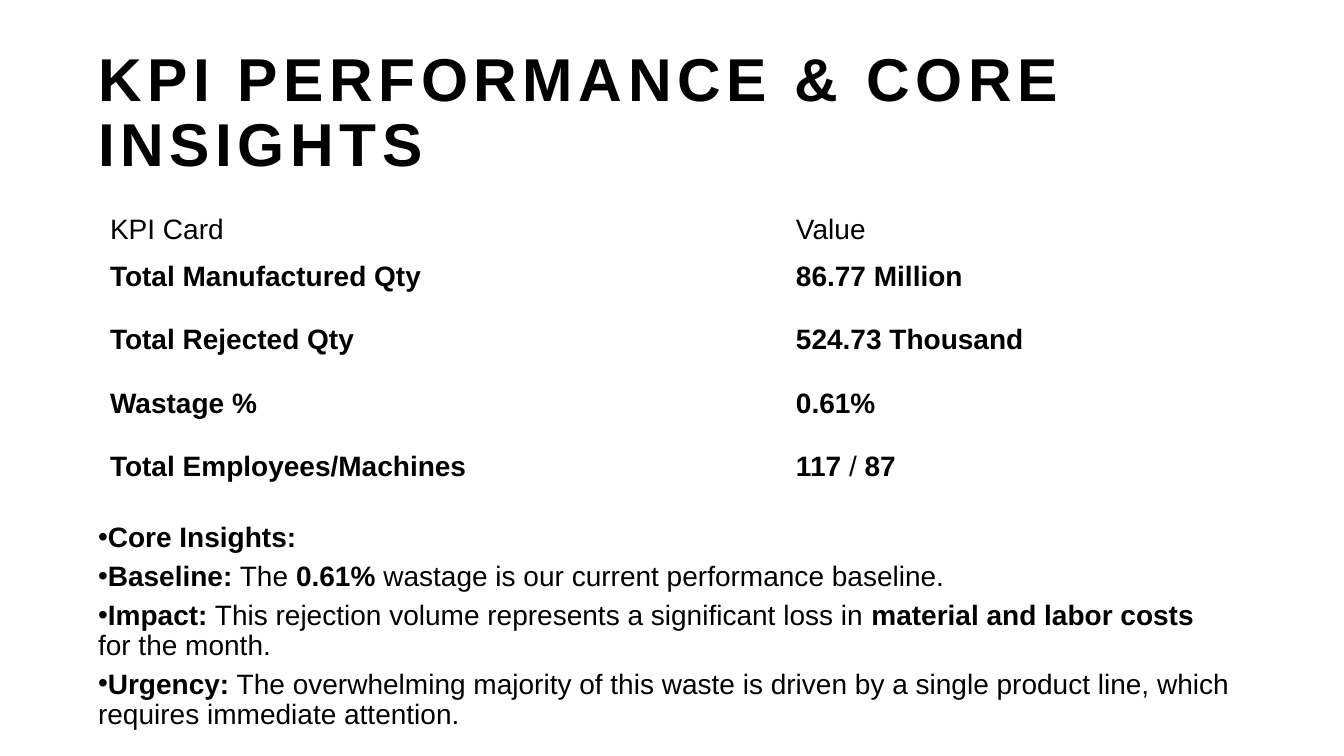
from dataclasses import dataclass

from lxml.etree import SubElement
from pptx import Presentation
from pptx.dml.color import RGBColor
from pptx.enum.text import MSO_ANCHOR, MSO_AUTO_SIZE, PP_ALIGN
from pptx.oxml.ns import qn
from pptx.util import Emu, Pt


@dataclass(frozen=True)
class Theme:
    font: str = "Arial"
    ink: RGBColor = RGBColor(0, 0, 0)
    title_size: float = 43.2
    body_size: float = 20
    title_tracking: int = 400
    line_spacing: float = 0.9
    space_after: int = 6


THEME = Theme()
BREAK = "\n"

TITLE = "KPI PERFORMANCE & CORE INSIGHTS"

KPI_ROWS = [
    ([("KPI Card", False)], [("Value", False)]),
    ([("Total Manufactured Qty", True)], [("86.77 Million", True)]),
    ([("Total Rejected Qty", True)], [("524.73 Thousand", True)]),
    ([("Wastage %", True)], [("0.61%", True)]),
    ([("Total Employees/Machines", True)],
     [("117", True), (" / ", False), ("87", True)]),
]

INSIGHTS = [
    [("Core Insights:", True)],
    [("Baseline:", True), (" The ", False), ("0.61%", True),
     (" wastage is our current performance baseline.", False)],
    [("Impact:", True),
     (" This rejection volume represents a significant loss in ", False),
     ("material and labor costs", True), (BREAK, False),
     ("for the month.", False)],
    [("Urgency:", True),
     (" The overwhelming majority of this waste is driven by a single product"
      " line, which requires immediate attention.", False)],
]

SLIDE_SIZE = (1344, 756)
TITLE_BOX = (88, 42, 1110, 143)
TABLE_ORIGIN = (99, 206)
COLUMN_WIDTHS = (686, 401)
ROW_HEIGHTS = (47, 47, 80, 47, 80)
CELL_MARGINS = (11, 6)
INSIGHTS_BOX = (88, 490, 1165, 311)
INSIGHTS_BOTTOM_INSET = 42
BULLET_INDENT = -25


def px(length):
    return Emu(round(length * 914400 / 100.8))


def place(shape, box):
    shape.left, shape.top, shape.width, shape.height = map(px, box)


def add_runs(paragraph, runs, size):
    for text, bold in runs:
        if text == BREAK:
            paragraph.add_line_break()
            line_break = paragraph._p.findall(qn("a:br"))[-1]
            SubElement(line_break, qn("a:rPr"), sz=str(round(size * 100)))
            continue
        run = paragraph.add_run()
        run.text = text
        run.font.name = THEME.font
        run.font.size = Pt(size)
        run.font.bold = bold
        run.font.color.rgb = THEME.ink


def space_paragraph(paragraph, after):
    paragraph.alignment = PP_ALIGN.LEFT
    paragraph.line_spacing = THEME.line_spacing
    paragraph.space_before = Pt(0)
    paragraph.space_after = Pt(after)


def prepare_frame(frame, anchor):
    frame.word_wrap = True
    frame.auto_size = MSO_AUTO_SIZE.NONE
    frame.vertical_anchor = anchor


def fill_title(title):
    place(title, TITLE_BOX)
    prepare_frame(title.text_frame, MSO_ANCHOR.BOTTOM)
    paragraph = title.text_frame.paragraphs[0]
    space_paragraph(paragraph, 0)
    add_runs(paragraph, [(TITLE, True)], THEME.title_size)
    properties = paragraph.runs[0]._r.get_or_add_rPr()
    properties.set("spc", str(THEME.title_tracking))


def add_kpi_table(slide):
    size = (sum(COLUMN_WIDTHS), sum(ROW_HEIGHTS))
    table = slide.shapes.add_table(
        len(KPI_ROWS), len(COLUMN_WIDTHS), *map(px, TABLE_ORIGIN + size)
    ).table
    table.first_row = False
    table.horz_banding = False
    for column, width in zip(table.columns, COLUMN_WIDTHS):
        column.width = px(width)
    for row, height, contents in zip(table.rows, ROW_HEIGHTS, KPI_ROWS):
        row.height = px(height)
        for cell, runs in zip(row.cells, contents):
            cell.fill.background()
            cell.vertical_anchor = MSO_ANCHOR.MIDDLE
            cell.margin_left = cell.margin_right = px(CELL_MARGINS[0])
            cell.margin_top = cell.margin_bottom = px(CELL_MARGINS[1])
            add_runs(cell.text_frame.paragraphs[0], runs, THEME.body_size)


def fill_insights(body):
    place(body, INSIGHTS_BOX)
    frame = body.text_frame
    prepare_frame(frame, MSO_ANCHOR.MIDDLE)
    frame.margin_bottom = px(INSIGHTS_BOTTOM_INSET)
    for index, runs in enumerate(INSIGHTS):
        paragraph = frame.add_paragraph() if index else frame.paragraphs[0]
        space_paragraph(paragraph, THEME.space_after)
        properties = paragraph._p.get_or_add_pPr()
        properties.set("marL", "0")
        properties.set("indent", str(px(BULLET_INDENT)))
        SubElement(properties, qn("a:buFont"), typeface=THEME.font)
        SubElement(properties, qn("a:buChar"), char="•")
        add_runs(paragraph, runs, THEME.body_size)


def main():
    presentation = Presentation()
    presentation.slide_width, presentation.slide_height = map(px, SLIDE_SIZE)
    slide = presentation.slides.add_slide(presentation.slide_layouts[1])
    fill_title(slide.shapes.title)
    add_kpi_table(slide)
    fill_insights(slide.placeholders[1])
    presentation.save("out.pptx")


if __name__ == "__main__":
    main()
